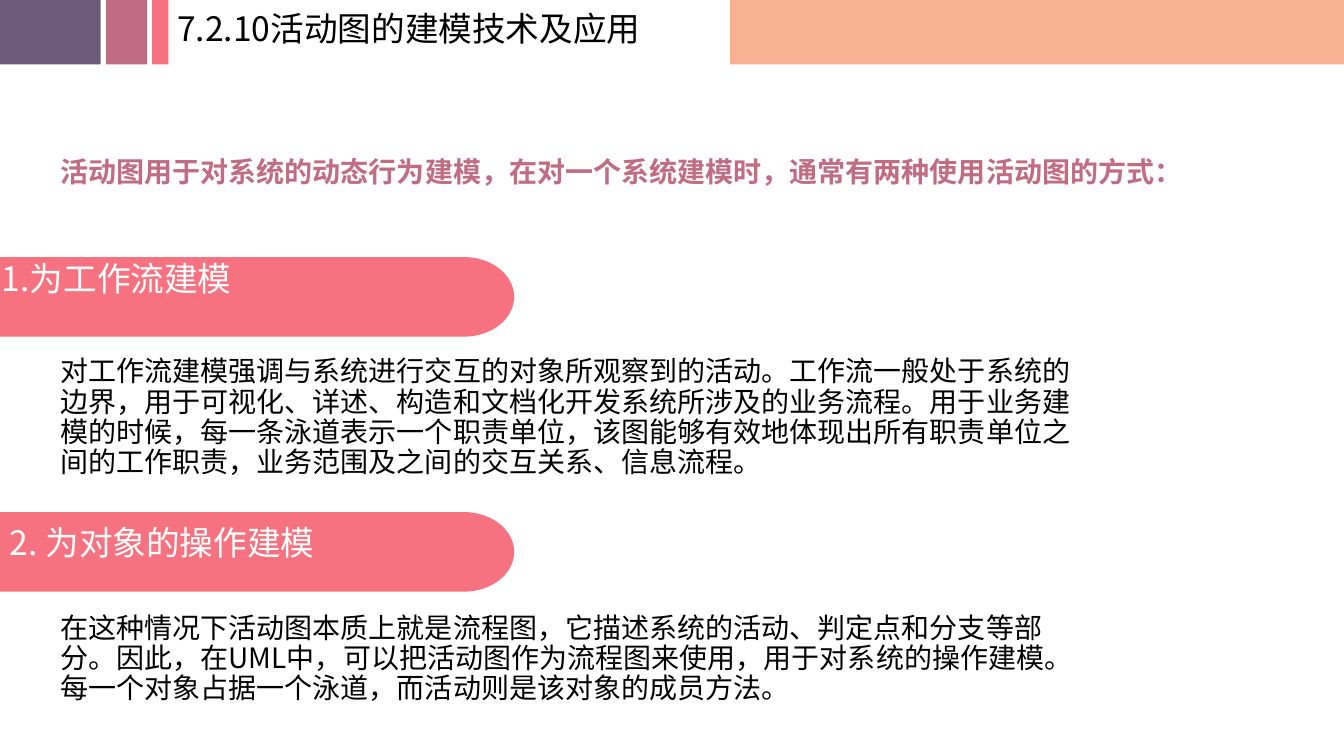
from math import cos, pi, sin

from lxml.etree import SubElement
from pptx import Presentation
from pptx.dml.color import RGBColor
from pptx.enum.shapes import MSO_SHAPE
from pptx.enum.text import PP_ALIGN
from pptx.oxml.ns import qn
from pptx.util import Inches, Pt

FONT = "Noto Sans CJK SC"
BLACK, WHITE, PLUM, ROSE, CORAL, PEACH = (
    "000000", "FFFFFF", "6C5B7B", "C06C84", "F67280", "F8B193")

# Header blocks: left, width, colour
HEADER_HEIGHT = 0.64
HEADER_BLOCKS = [(7.24, 6.09, PEACH), (0, 1, PLUM), (1.05, 0.41, ROSE), (1.51, 0.16, CORAL)]

BANNER_TOPS = [2.55, 5.08]
BANNER_WIDTH, BANNER_HEIGHT, BANNER_CAP = 5.1, 0.79, 0.5

TITLE = "7.2.10活动图的建模技术及应用"
INTRO = "活动图用于对系统的动态行为建模，在对一个系统建模时，通常有两种使用活动图的方式："
WORKFLOW_HEADING = "1.为工作流建模"
WORKFLOW_BODY = (
    "对工作流建模强调与系统进行交互的对象所观察到的活动。工作流一般处于系统的边界，"
    "用于可视化、详述、构造和文档化开发系统所涉及的业务流程。用于业务建模的时候，"
    "每一条泳道表示一个职责单位，该图能够有效地体现出所有职责单位之间的工作职责，"
    "业务范围及之间的交互关系、信息流程。")
OPERATION_HEADING = "2. 为对象的操作建模"
OPERATION_BODY = (
    "在这种情况下活动图本质上就是流程图，它描述系统的活动、判定点和分支等部分。"
    "因此，在UML中，可以把活动图作为流程图来使用，用于对系统的操作建模。"
    "每一个对象占据一个泳道，而活动则是该对象的成员方法。")

# Text, (left, top, width, height), size, colour, further options
TIGHT = {"line_spacing": 0.9, "space_before": Pt(10)}
TEXTS = [
    (TITLE, (1.26, 0.03, 5.59, 0.5), 24, BLACK, {"alignment": PP_ALIGN.CENTER}),
    (INTRO, (0.5, 1.52, 11.49, 0.4), 20, ROSE, TIGHT),
    (WORKFLOW_HEADING, (-0.08, 2.55, 3.82, 0.46), 24, WHITE, TIGHT),
    (WORKFLOW_BODY, (0.5, 3.5, 10.46, 1.31), 20, BLACK, TIGHT),
    (OPERATION_HEADING, (0, 5.13, 3.82, 0.91), 24, WHITE, {}),
    (OPERATION_BODY, (0.5, 6.04, 9.96, 1.01), 20, BLACK, TIGHT),
]


def paint(shape, colour):
    """Give a shape a flat fill with no outline or shadow."""
    shape.shadow.inherit = False
    shape.fill.solid()
    shape.fill.fore_color.rgb = RGBColor.from_string(colour)
    shape.line.fill.background()


def add_block(page, left, width, colour):
    """Add one block of the header strip."""
    block = page.shapes.add_shape(
        MSO_SHAPE.RECTANGLE, Inches(left), 0, Inches(width), Inches(HEADER_HEIGHT))
    paint(block, colour)


def add_banner(page, top, steps=40):
    """Add a heading banner from the left edge with a rounded right end."""
    radius = BANNER_HEIGHT / 2
    points = [(BANNER_WIDTH - BANNER_CAP + BANNER_CAP * cos(angle),
               top + radius + radius * sin(angle))
              for angle in (pi * step / steps - pi / 2 for step in range(steps + 1))]
    points.append((0, top + BANNER_HEIGHT))
    outline = page.shapes.build_freeform(0, Inches(top))
    outline.add_line_segments([(Inches(x), Inches(y)) for x, y in points], close=True)
    paint(outline.convert_to_shape(), CORAL)


def add_text(page, text, place, size, colour, options):
    """Add a wrapped text box holding one paragraph."""
    box = page.shapes.add_textbox(*map(Inches, place))
    box.text_frame.word_wrap = True
    para = box.text_frame.paragraphs[0]
    for name, value in options.items():
        setattr(para, name, value)
    span = para.add_run()
    span.text = text
    span.font.size = Pt(size)
    span.font.bold = text == INTRO
    span.font.color.rgb = RGBColor.from_string(colour)
    span.font.name = FONT
    SubElement(span.font._element, qn("a:ea"), typeface=FONT)


deck = Presentation()
deck.slide_width, deck.slide_height = Inches(13.33), Inches(7.5)
page = deck.slides.add_slide(deck.slide_layouts[6])
for block in HEADER_BLOCKS:
    add_block(page, *block)
for top in BANNER_TOPS:
    add_banner(page, top)
for entry in TEXTS:
    add_text(page, *entry)
deck.save("out.pptx")
